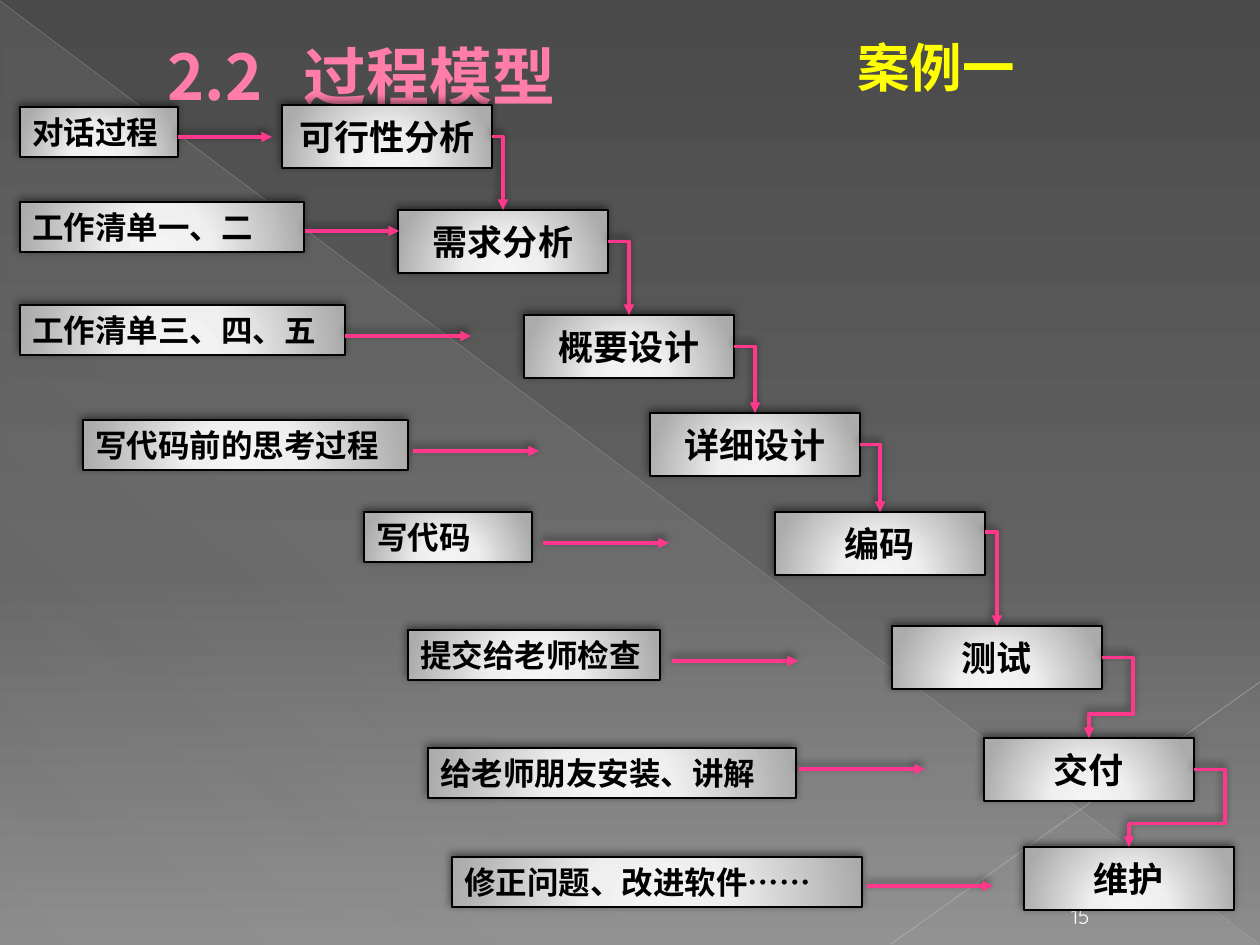
from itertools import pairwise

from lxml.etree import SubElement
from pptx import Presentation
from pptx.dml.color import RGBColor
from pptx.enum.shapes import MSO_CONNECTOR as CONNECTOR, MSO_SHAPE as SHAPE
from pptx.enum.text import MSO_ANCHOR as ANCHOR, MSO_AUTO_SIZE as AUTO_SIZE, PP_ALIGN as ALIGN
from pptx.oxml.ns import qn
from pptx.util import Emu, Pt

PX_PER_INCH = 126
BODY_FONT, CJK_FONT = "Quicksand", "Noto Sans CJK SC"
PINK, BLACK, WHITE = "FF388C", "000000", "FFFFFF"
STEP_W, STEP_H, NOTE_H = 210, 63, 50
TOP, RIGHT = 0, 3

# name, left, top, height at which the arrow leaves the right side
STEPS = [
    ("可行性分析", 282, 105, STEP_H / 2),
    ("需求分析", 398, 210, STEP_H / 2),
    ("概要设计", 524, 315, STEP_H / 2),
    ("详细设计", 650, 413, STEP_H / 2),
    ("编码", 775, 512, 20),
    ("测试", 892, 626, STEP_H / 2),
    ("交付", 984, 738, STEP_H / 2),
    ("维护", 1024, 847, STEP_H / 2),
]
# text, left, top, width, then the arrow's start, height and length
NOTES = [
    ("对话过程", 20, 107, 158, 178, 137, 94),
    ("工作清单一、二", 20, 202, 284, 305, 231, 94),
    ("工作清单三、四、五", 20, 305, 325, 345, 336, 126),
    ("写代码前的思考过程", 83, 420, 325, 413, 451, 126),
    ("写代码", 364, 512, 168, 543, 543, 126),
    ("提交给老师检查", 408, 630, 252, 672, 661, 126),
    ("给老师朋友安装、讲解", 428, 748, 368, 799, 769, 126),
    ("修正问题、改进软件……", 452, 857, 410, 867, 886, 126),
]


def px(*lengths):
    return [Emu(round(length * 914400 / PX_PER_INCH)) for length in lengths]


def color(hex_code):
    return RGBColor.from_string(hex_code)


def set_gradient(fill, element, stops, angle=None):
    """Stops are (percent, hex, opacity percent); without an angle the gradient is radial."""
    fill.gradient()
    gradient = element.find(".//" + qn("a:gradFill"))
    for child in list(gradient):
        gradient.remove(child)
    stop_list = SubElement(gradient, qn("a:gsLst"))
    for position, hex_code, opacity in stops:
        stop = SubElement(stop_list, qn("a:gs"), pos=str(position * 1000))
        tint = SubElement(stop, qn("a:srgbClr"), val=hex_code)
        if opacity < 100:
            SubElement(tint, qn("a:alpha"), val=str(opacity * 1000))
    if angle is None:
        radial = SubElement(gradient, qn("a:path"), path="circle")
        SubElement(radial, qn("a:fillToRect"), l="50000", t="155000", r="50000", b="-55000")
    else:
        SubElement(gradient, qn("a:lin"), ang=str(angle * 60000), scaled="0")


def add_effects(shape, shadow=True):
    effects = SubElement(shape._element.spPr, qn("a:effectLst"))
    if shadow:
        outer = SubElement(effects, qn("a:outerShdw"), blurRad="63500", dist="25400",
                           dir=str(245 * 60000), rotWithShape="0")
        tint = SubElement(outer, qn("a:srgbClr"), val=BLACK)
        SubElement(tint, qn("a:alpha"), val="50000")


def write(shape, text, size, hex_code, font=BODY_FONT, cjk=CJK_FONT, bold=True,
          align=ALIGN.LEFT, anchor=ANCHOR.TOP, wrap=True, tab=None):
    frame = shape.text_frame
    frame.word_wrap, frame.vertical_anchor = wrap, anchor
    paragraph = frame.paragraphs[0]
    paragraph.alignment = align
    if tab:
        tabs = SubElement(paragraph._p.get_or_add_pPr(), qn("a:tabLst"))
        SubElement(tabs, qn("a:tab"), pos=str(px(tab)[0]), algn="l")
    run = paragraph.add_run()
    run.text = text
    run.font.size, run.font.bold, run.font.name = Pt(size), bold, font
    run.font.color.rgb = color(hex_code)
    SubElement(run._r.get_or_add_rPr(), qn("a:ea"), typeface=cjk)


def add_text(slide, box, text, size, hex_code, **style):
    write(slide.shapes.add_textbox(*px(*box)), text, size, hex_code, **style)


def add_silver_box(slide, box, text, size, **style):
    shape = slide.shapes.add_shape(SHAPE.RECTANGLE, *px(*box))
    silver = [(0, "F4F4F4", 100), (34, "EFEFEF", 100), (100, "ABABAB", 100)]
    set_gradient(shape.fill, shape._element, silver)
    shape.line.color.rgb, shape.line.width = color(BLACK), Pt(0.75)
    add_effects(shape)
    write(shape, text, size, BLACK, **style)
    return shape


def add_line(slide, ends, hex_code, width, opacity=100, kind=CONNECTOR.STRAIGHT):
    line = slide.shapes.add_connector(kind, *px(*ends))
    line.line.color.rgb, line.line.width = color(hex_code), Pt(width)
    if opacity < 100:
        tint = line._element.spPr.find(".//" + qn("a:srgbClr"))
        SubElement(tint, qn("a:alpha"), val=str(opacity * 1000))
    return line


def add_arrow(slide, ends, kind=CONNECTOR.STRAIGHT):
    arrow = add_line(slide, ends, PINK, 2, kind=kind)
    SubElement(arrow._element.spPr.find(qn("a:ln")), qn("a:tailEnd"), type="triangle")
    add_effects(arrow)
    return arrow


def add_backdrop(slide, width, height):
    grey = [(0, "4A4A4A", 100), (60, "626262", 100), (100, "8C8C8C", 100)]
    set_gradient(slide.background.fill, slide._element, grey, angle=90)
    corner = slide.shapes.add_shape(SHAPE.RIGHT_TRIANGLE, *px(1, 2, width - 2, height - 2))
    haze = [(0, "D2D2D2", 10), (70, "D2D2D2", 8), (100, "D2D2D2", 1)]
    set_gradient(corner.fill, corner._element, haze, angle=133)
    corner.line.fill.background()
    corner.shadow.inherit = False
    for ends, hex_code, weight, opacity in [
        ((0, 1, width - 1, height - 1), "BFBFBF", 0.39, 35),
        ((width, 682, 891, height - 1), "C6C6C6", 0.47, 45),
    ]:
        add_effects(add_line(slide, ends, hex_code, weight, opacity), shadow=False)


def add_headings(slide):
    add_text(slide, (155, 10, 915, 131), "2.2\t过程模型", 36, "FF7DA7",
             font=CJK_FONT, anchor=ANCHOR.MIDDLE, tab=136)
    add_text(slide, (845, 29, 395, 98), "案例一", 30, "FFFF00",
             font="Noto Sans CJK JP", cjk="Noto Sans CJK JP")
    add_text(slide, (1046, 893, 69, 42), "15", 12, WHITE, bold=False,
             align=ALIGN.CENTER, anchor=ANCHOR.BOTTOM)


def add_note(slide, text, left, top, width, arrow_left, arrow_y, arrow_length):
    note = add_silver_box(slide, (left, top, width, NOTE_H), text, 18)
    note.text_frame.auto_size = AUTO_SIZE.SHAPE_TO_FIT_TEXT
    add_arrow(slide, (arrow_left, arrow_y, arrow_left + arrow_length, arrow_y))


def join_steps(slide, step, next_step, step_data, next_data):
    """Leads from the right side of a step to the top of the next one."""
    _, left, top, exit_y = step_data
    _, next_left, next_top, _ = next_data
    start_x, end_x = left + STEP_W, next_left + STEP_W / 2
    arrow = add_arrow(slide, (start_x, top + exit_y, end_x, next_top), CONNECTOR.ELBOW)
    geometry = arrow._element.spPr.find(qn("a:prstGeom"))
    if end_x > start_x:
        geometry.set("prst", "bentConnector2")
    else:
        geometry.set("prst", "bentConnector4")
        guides = geometry.find(qn("a:avLst"))
        overhang = -31 / (start_x - end_x)
        for guide, share in (("adj1", overhang), ("adj2", 0.7)):
            SubElement(guides, qn("a:gd"), name=guide, fmla=f"val {round(share * 100000)}")
    if exit_y == STEP_H / 2:
        arrow.begin_connect(step, RIGHT)
    arrow.end_connect(next_step, TOP)


def add_waterfall(slide):
    boxes = [add_silver_box(slide, (left, top, STEP_W, STEP_H), name, 20, wrap=False,
                            align=ALIGN.CENTER, anchor=ANCHOR.MIDDLE)
             for name, left, top, _ in STEPS]
    for note in NOTES:
        add_note(slide, *note)
    for (step, data), (next_step, next_data) in pairwise(zip(boxes, STEPS)):
        join_steps(slide, step, next_step, data, next_data)


def main():
    width, height = 1260, 945
    deck = Presentation()
    deck.slide_width, deck.slide_height = px(width, height)
    slide = deck.slides.add_slide(deck.slide_layouts[6])
    add_backdrop(slide, width, height)
    add_headings(slide)
    add_waterfall(slide)
    deck.save("out.pptx")


if __name__ == "__main__":
    main()
